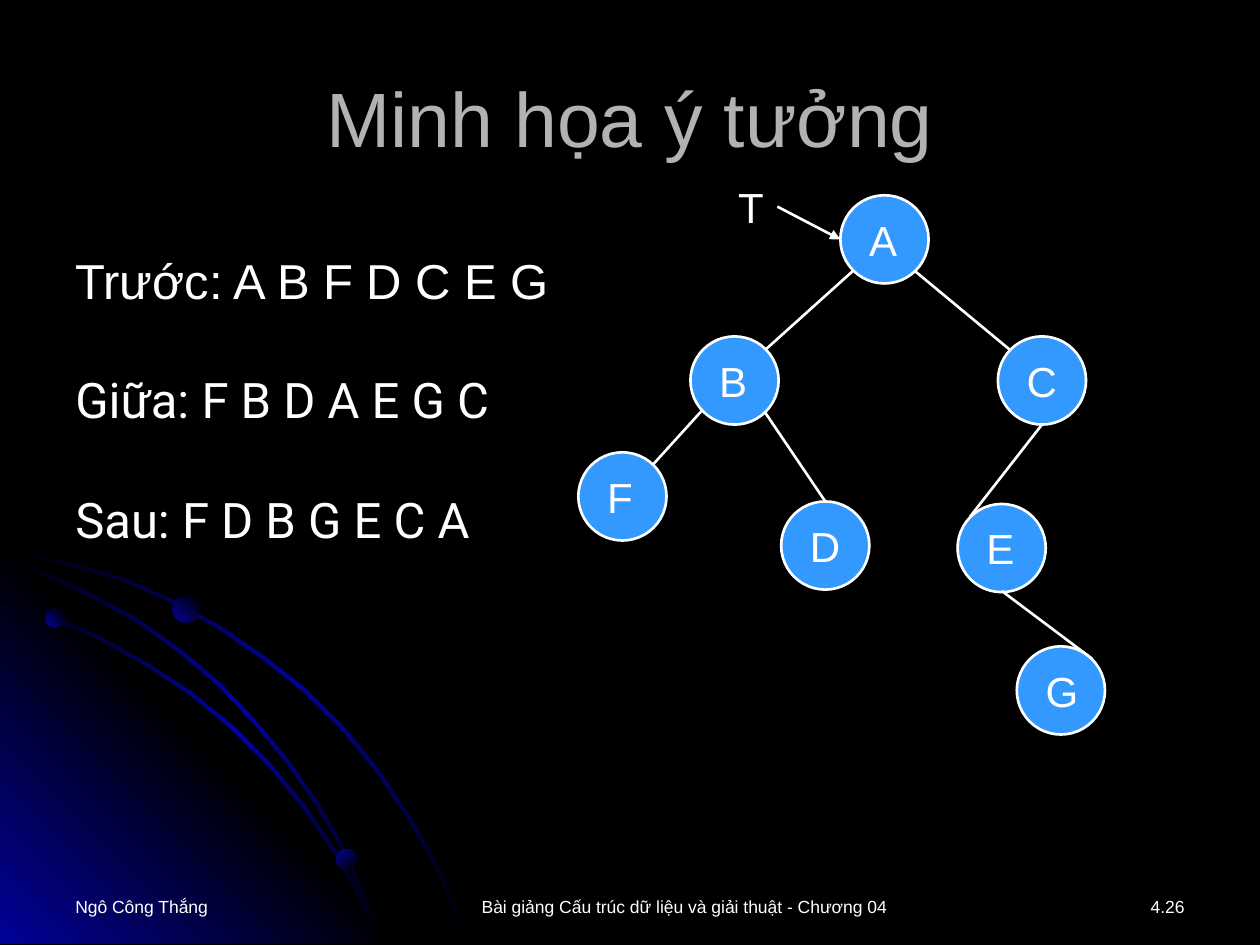
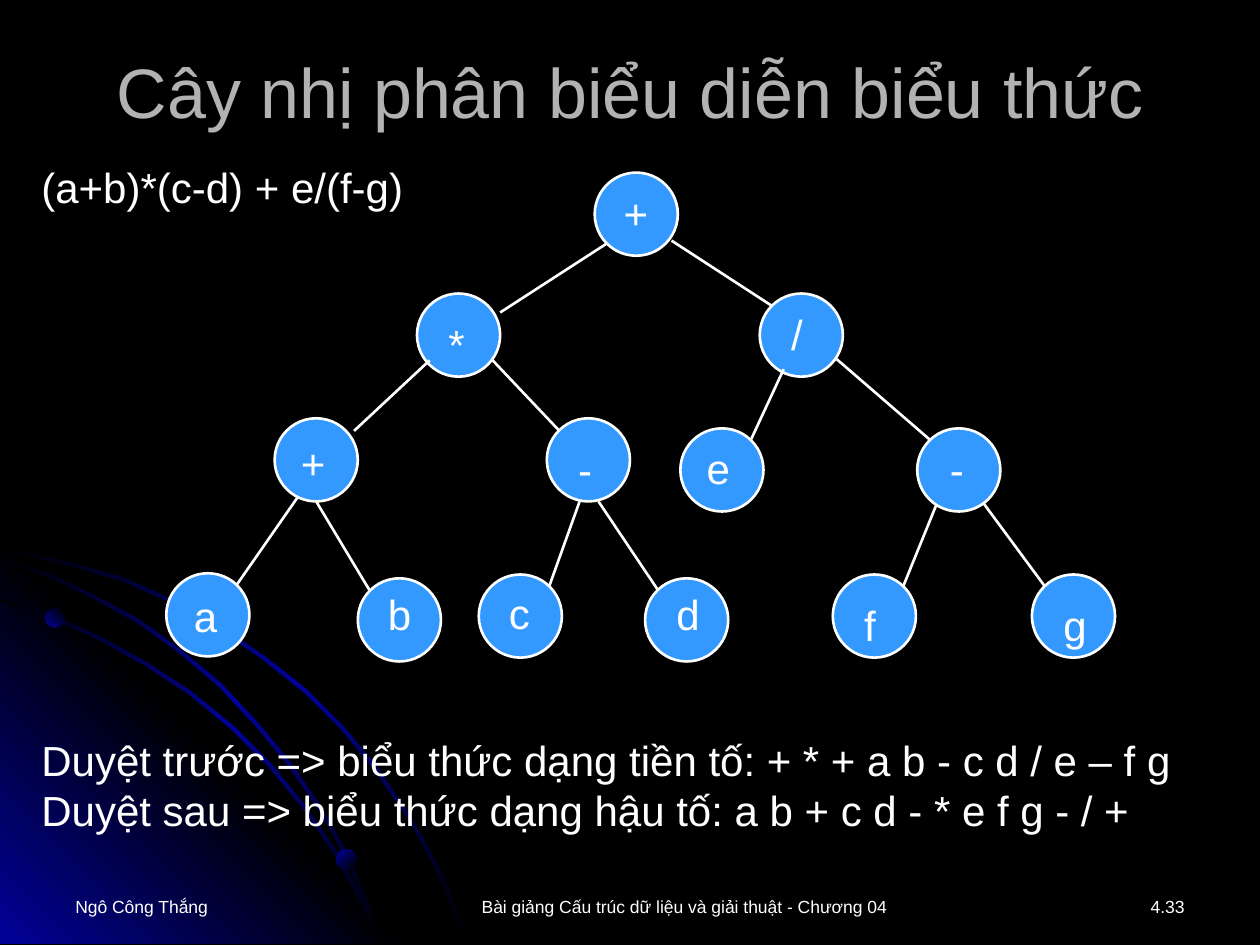
from typing import NamedTuple

from lxml import etree
from pptx import Presentation
from pptx.dml.color import RGBColor
from pptx.enum.shapes import MSO_CONNECTOR, MSO_SHAPE
from pptx.enum.text import MSO_ANCHOR, PP_ALIGN
from pptx.oxml.ns import nsdecls, qn
from pptx.oxml import parse_xml
from pptx.presentation import Presentation as Deck
from pptx.shapes.base import BaseShape
from pptx.slide import Slide
from pptx.util import Inches, Pt

OVAL = MSO_SHAPE.OVAL
STRAIGHT = MSO_CONNECTOR.STRAIGHT
LEFT, CENTER, RIGHT = PP_ALIGN.LEFT, PP_ALIGN.CENTER, PP_ALIGN.RIGHT
TOP, MIDDLE = MSO_ANCHOR.TOP, MSO_ANCHOR.MIDDLE

COLORS = {
    "background": "000000",
    "glow": "010199",
    "title": "B2B2B2",
    "text": "FFFFFF",
    "node": "3399FF",
}
FONT = "Arial"
LINE_WIDTH = Pt(1.5)
RIBBON_WIDTH = 0.02
FADE_IN_OUT = ("background", "glow", "background")


class Box(NamedTuple):
    left: float
    top: float
    width: float
    height: float


class Line(NamedTuple):
    text: str
    font: str = FONT


class Node(NamedTuple):
    label: str
    left: float
    top: float
    label_dx: float = 0.13
    label_dy: float = 0.1


class Edge(NamedTuple):
    x1: float
    y1: float
    x2: float
    y2: float
    arrow: bool = False


class Tree(NamedTuple):
    diameter: float
    label_width: float
    nodes: list[Node]
    edges: list[Edge]


class Dot(NamedTuple):
    left: float
    top: float
    diameter: float
    angle: int


# Lower edges of the curved ribbons, from the left side down to the bottom
RIBBONS = [
    [(0, 4.38), (0.28, 4.43), (0.56, 4.49), (0.97, 4.61), (1.35, 4.78), (1.73, 4.99),
     (2.08, 5.23), (2.41, 5.49), (2.71, 5.79), (2.98, 6.12), (3.23, 6.49),
     (3.37, 6.73), (3.5, 6.98), (3.6, 7.23), (3.7, 7.49)],
    [(0, 4.77), (0.39, 4.9), (0.77, 5.07), (1.15, 5.28), (1.5, 5.51), (1.83, 5.78),
     (2.13, 6.08), (2.4, 6.41), (2.65, 6.77), (2.85, 7.14), (2.94, 7.32), (3.01, 7.49)],
    [(0, 4.44), (0.36, 4.57), (0.74, 4.75), (1.09, 4.94), (1.42, 5.18), (1.73, 5.44),
     (2.02, 5.75), (2.27, 6.05), (2.52, 6.41), (2.67, 6.67), (2.8, 6.94),
     (2.92, 7.22), (3.01, 7.49)],
]
WEDGE = [(3.22, 7.49), (0, 7.49), (0, 4.27)]
DOTS = [Dot(0.36, 4.83, 0.15, 315), Dot(2.67, 6.74, 0.16, 45), Dot(1.37, 4.73, 0.21, 315)]

TRAVERSAL_TREE = Tree(
    diameter=0.7,
    label_width=0.45,
    nodes=[
        Node("A", 6.67, 1.55),
        Node("B", 5.48, 2.67),
        Node("C", 7.92, 2.67),
        Node("D", 6.2, 3.98),
        Node("E", 7.6, 4),
        Node("G", 8.07, 5.13),
        Node("F", 4.59, 3.59),
    ],
    edges=[
        Edge(6.77, 2.15, 6.07, 2.78),
        Edge(7.26, 2.15, 8.02, 2.78),
        Edge(6.07, 3.27, 6.55, 3.98),
        Edge(5.57, 3.26, 5.18, 3.69),
        Edge(8.27, 3.37, 7.7, 4.1),
        Edge(7.95, 4.69, 8.67, 5.23),
        Edge(6.17, 1.64, 6.67, 1.9, arrow=True),
    ],
)

EXPRESSION_TREE = Tree(
    diameter=0.66,
    label_width=0.51,
    nodes=[
        Node("+", 4.72, 1.37, 0.13, 0.07),
        Node("*", 3.31, 2.33, 0.15, 0.15),
        Node("/", 6.03, 2.33, 0.15, 0.07),
        Node("+", 2.18, 3.32, 0.11, 0.1),
        Node("-", 4.34, 3.32, 0.15, 0.15),
        Node("a", 1.32, 4.55, 0.12, 0.09),
        Node("b", 2.84, 4.59, 0.14, 0.03),
        Node("e", 5.4, 3.4, 0.11, 0.06),
        Node("-", 7.28, 3.4, 0.16, 0.07),
        Node("f", 6.61, 4.56, 0.15, 0.15),
        Node("g", 8.19, 4.56, 0.15, 0.15),
        Node("c", 3.8, 4.56, 0.14, 0.05),
        Node("d", 5.12, 4.59, 0.15, 0.03),
    ],
    edges=[
        Edge(4.82, 1.93, 3.97, 2.48),
        Edge(5.33, 1.91, 6.13, 2.43),
        Edge(3.41, 2.86, 2.81, 3.42),
        Edge(3.91, 2.86, 4.44, 3.42),
        Edge(6.22, 2.93, 5.96, 3.49),
        Edge(6.64, 2.85, 7.38, 3.49),
        Edge(2.36, 3.95, 1.88, 4.64),
        Edge(2.51, 3.98, 2.93, 4.68),
        Edge(4.6, 3.98, 4.36, 4.65),
        Edge(4.75, 3.98, 5.22, 4.68),
        Edge(7.43, 4.01, 7.17, 4.65),
        Edge(7.81, 4, 8.29, 4.65),
    ],
)


def color(name: str) -> RGBColor:
    return RGBColor.from_string(COLORS[name])


def add_text(slide: Slide, box: Box, lines: list[Line], size: float,
             color_name: str = "text", align: PP_ALIGN = LEFT,
             anchor: MSO_ANCHOR = TOP, gap: float = 0, margin_top: float = 0.05) -> None:
    shape = slide.shapes.add_textbox(*(Inches(length) for length in box))
    frame = shape.text_frame
    frame.word_wrap = True
    frame.vertical_anchor = anchor
    frame.margin_top = Inches(margin_top)
    for index, line in enumerate(lines):
        paragraph = frame.add_paragraph() if index else frame.paragraphs[0]
        paragraph.alignment = align
        if index:
            paragraph.space_before = Pt(gap)
        run = paragraph.add_run()
        run.text = line.text
        run.font.name = line.font
        run.font.size = Pt(size)
        run.font.color.rgb = color(color_name)


def fill_gradient(shape: BaseShape, color_names: tuple[str, ...], angle: int) -> None:
    """Spread the colours evenly along the angle, without outline or shadow."""
    step = 100000 // (len(color_names) - 1)
    stops = "".join(
        f'<a:gs pos="{index * step}"><a:srgbClr val="{COLORS[name]}"/></a:gs>'
        for index, name in enumerate(color_names)
    )
    shape._element.spPr.append(parse_xml(
        f'<a:gradFill {nsdecls("a")} rotWithShape="1"><a:gsLst>{stops}</a:gsLst>'
        f'<a:lin ang="{angle * 60000}" scaled="1"/></a:gradFill>'
    ))
    shape.line.fill.background()
    shape.shadow.inherit = False


def add_outline(slide: Slide, points: list[tuple[float, float]],
                color_names: tuple[str, ...], angle: int) -> None:
    start, *rest = [(Inches(x), Inches(y)) for x, y in points]
    builder = slide.shapes.build_freeform(*start)
    builder.add_line_segments(rest, close=True)
    fill_gradient(builder.convert_to_shape(), color_names, angle)


def add_ribbon(slide: Slide, lower: list[tuple[float, float]]) -> None:
    last = len(lower) - 1
    upper = [
        (x + (RIBBON_WIDTH if index else 0), y - (RIBBON_WIDTH if index < last else 0))
        for index, (x, y) in enumerate(lower)
    ]
    add_outline(slide, lower + upper[::-1], FADE_IN_OUT, 45)


def add_oval(slide: Slide, left: float, top: float, diameter: float) -> BaseShape:
    return slide.shapes.add_shape(
        OVAL, Inches(left), Inches(top), Inches(diameter), Inches(diameter))


def add_decoration(slide: Slide) -> None:
    add_ribbon(slide, RIBBONS[0])
    add_outline(slide, WEDGE, ("glow", "background", "glow"), 315)
    for ribbon in RIBBONS[1:]:
        add_ribbon(slide, ribbon)
    for dot in DOTS:
        oval = add_oval(slide, dot.left, dot.top, dot.diameter)
        fill_gradient(oval, ("glow", "background"), dot.angle)


def add_base_slide(presentation: Deck, title: str, title_size: float,
                   title_height: float, number: str) -> Slide:
    slide = presentation.slides.add_slide(presentation.slide_layouts[6])
    add_decoration(slide)
    add_text(slide, Box(0.5, 0.3, 9, title_height), [Line(title)], title_size,
             "title", CENTER, MIDDLE)
    footers = [
        (0.5, 2.33, "Ngô Công Thắng", LEFT),
        (2.96, 4.94, "Bài giảng Cấu trúc dữ liệu và giải thuật - Chương 04", CENTER),
        (8.04, 1.46, number, RIGHT),
    ]
    for left, width, text, align in footers:
        add_text(slide, Box(left, 7.06, width, 0.3), [Line(text)], 10, align=align)
    return slide


def add_edge(slide: Slide, edge: Edge) -> None:
    connector = slide.shapes.add_connector(
        STRAIGHT, Inches(edge.x1), Inches(edge.y1), Inches(edge.x2), Inches(edge.y2))
    connector.line.color.rgb = color("text")
    connector.line.width = LINE_WIDTH
    properties = connector._element.spPr
    if edge.arrow:
        etree.SubElement(properties.find(qn("a:ln")), qn("a:tailEnd"), type="triangle")
    etree.SubElement(properties, qn("a:effectLst"))


def add_tree(slide: Slide, tree: Tree) -> None:
    for node in tree.nodes:
        oval = add_oval(slide, node.left, node.top, tree.diameter)
        oval.fill.solid()
        oval.fill.fore_color.rgb = color("node")
        oval.line.color.rgb = color("text")
        oval.line.width = LINE_WIDTH
        oval.shadow.inherit = False
        label_box = Box(node.left + node.label_dx, node.top + node.label_dy,
                        tree.label_width, 0.5)
        add_text(slide, label_box, [Line(node.label)], 24)
    for edge in tree.edges:
        add_edge(slide, edge)


def build_traversal_slide(presentation: Deck) -> None:
    slide = add_base_slide(presentation, "Minh họa ý tưởng", 44, 1.25, "4.26")
    add_tree(slide, TRAVERSAL_TREE)
    add_text(slide, Box(5.76, 1.39, 0.41, 0.5), [Line("T")], 24)
    orders = [
        Line("Trước: A B F D C E G"),
        Line("Giữa: F B D A E G C", "Roboto"),
        Line("Sau: F D B G E C A", "Roboto"),
    ]
    add_text(slide, Box(0.5, 1.89, 4.52, 2.93), orders, 28, gap=34.5, margin_top=0.1)


def build_expression_slide(presentation: Deck) -> None:
    slide = add_base_slide(presentation, "Cây nhị phân biểu diễn biểu thức", 40, 0.83, "4.33")
    add_tree(slide, EXPRESSION_TREE)
    add_text(slide, Box(0.23, 1.23, 3.24, 0.5), [Line("(a+b)*(c-d) + e/(f-g)")], 24)
    notations = [
        Line("Duyệt trước => biểu thức dạng tiền tố: + * + a b - c d / e – f g"),
        Line("Duyệt sau => biểu thức dạng hậu tố: a b + c d - * e f g - / +"),
    ]
    add_text(slide, Box(0.23, 5.78, 9.4, 0.91), notations, 24)


def main() -> None:
    presentation = Presentation()
    presentation.slide_width = Inches(10)
    presentation.slide_height = Inches(7.5)
    background = presentation.slide_master.background.fill
    background.solid()
    background.fore_color.rgb = color("background")
    build_traversal_slide(presentation)
    build_expression_slide(presentation)
    presentation.save("out.pptx")


if __name__ == "__main__":
    main()
